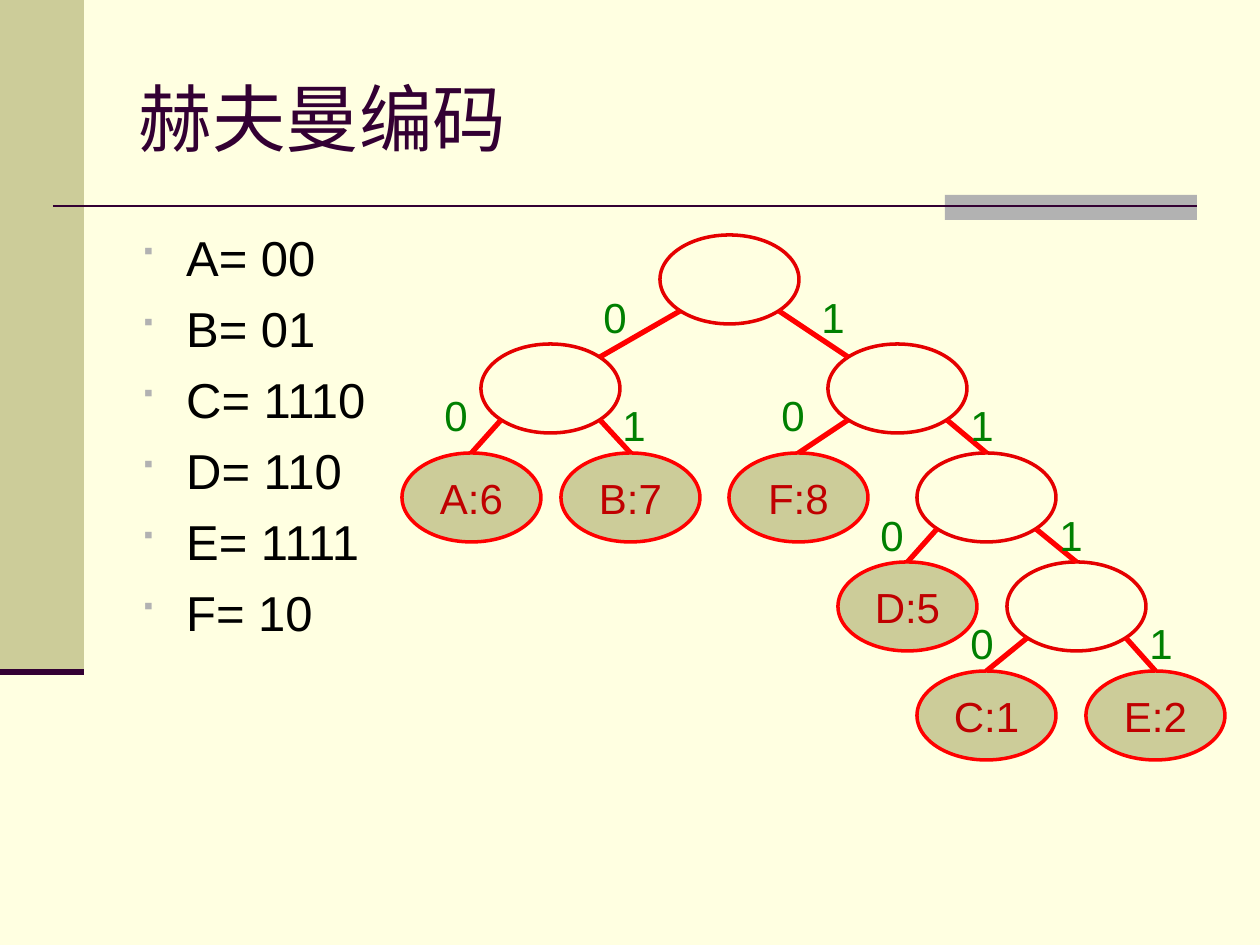
from dataclasses import dataclass

from lxml.etree import SubElement
from pptx import Presentation
from pptx.dml.color import RGBColor
from pptx.enum.shapes import MSO_CONNECTOR, MSO_SHAPE
from pptx.enum.text import MSO_ANCHOR, MSO_AUTO_SIZE, PP_ALIGN
from pptx.oxml.ns import qn
from pptx.util import Emu, Inches, Pt

PX = 914400 / 126  # EMU in one px
FONT = "Arial"

CREAM = RGBColor(0xFF, 0xFF, 0xE1)
KHAKI = RGBColor(0xCC, 0xCC, 0x99)
GREY = RGBColor(0xB2, 0xB2, 0xB2)
PLUM = RGBColor(0x33, 0x00, 0x33)
BLACK = RGBColor(0x00, 0x00, 0x00)
RED = RGBColor(0xFF, 0x00, 0x00)
BRICK = RGBColor(0xE5, 0x00, 0x00)
WINE = RGBColor(0xC0, 0x00, 0x00)
GREEN = RGBColor(0x00, 0x80, 0x00)

# Tree grid: node size, first row, row step, and inset of the oval's diagonals
WIDE, HIGH = 139, 89
TOP, STEP = 235, 109
DX, DY = 20, 13


@dataclass
class Node:
    left: int
    row: int
    text: str = ""

    @property
    def top(self) -> int:
        return TOP + self.row * STEP


@dataclass
class Edge:
    start: str
    end: str
    bit: int
    x: int  # label position
    y: int


NODES = {
    "root": Node(660, 0),
    "AB": Node(481, 1),
    "FDCE": Node(828, 1),
    "DCE": Node(917, 2),
    "CE": Node(1007, 3),
    "A": Node(402, 2, "A:6"),
    "B": Node(561, 2, "B:7"),
    "F": Node(729, 2, "F:8"),
    "D": Node(838, 3, "D:5"),
    "C": Node(917, 4, "C:1"),
    "E": Node(1086, 4, "E:2"),
}
EDGES = [
    Edge("root", "AB", 0, 591, 285),
    Edge("root", "FDCE", 1, 809, 285),
    Edge("AB", "A", 0, 432, 383),
    Edge("AB", "B", 1, 610, 393),
    Edge("FDCE", "F", 0, 769, 383),
    Edge("FDCE", "DCE", 1, 958, 393),
    Edge("DCE", "D", 0, 868, 503),
    Edge("DCE", "CE", 1, 1047, 503),
    Edge("CE", "C", 0, 958, 611),
    Edge("CE", "E", 1, 1137, 611),
]
CODES = ["A= 00", "B= 01", "C= 1110", "D= 110", "E= 1111", "F= 10"]


def px(*vals: int) -> list[Emu]:
    return [Emu(round(v * PX)) for v in vals]


def style(para, size: int, color: RGBColor, align=PP_ALIGN.LEFT) -> None:
    para.alignment = align
    para.font.name = FONT
    para.font.size = Pt(size)
    para.font.color.rgb = color


def add_form(slide, kind, box: tuple, fill: RGBColor, line=None):
    form = slide.shapes.add_shape(kind, *px(*box))
    form.shadow.inherit = False
    form.fill.solid()
    form.fill.fore_color.rgb = fill
    if line is None:
        form.line.fill.background()
    else:
        form.line.color.rgb = line
        form.line.width = Pt(2)
    return form


def add_line(slide, ends: tuple, color: RGBColor, width: float):
    line = slide.shapes.add_connector(MSO_CONNECTOR.STRAIGHT, *px(*ends))
    line.line.color.rgb = color
    line.line.width = Pt(width)
    SubElement(line._element.spPr, qn("a:effectLst"))
    return line


def add_node(slide, node: Node):
    fill, line = (KHAKI, RED) if node.text else (CREAM, BRICK)
    box = (node.left, node.top, WIDE, HIGH)
    oval = add_form(slide, MSO_SHAPE.OVAL, box, fill, line)
    if node.text:
        frame = oval.text_frame
        frame.word_wrap = False
        frame.vertical_anchor = MSO_ANCHOR.MIDDLE
        frame.text = node.text
        style(frame.paragraphs[0], 24, WINE, PP_ALIGN.CENTER)
    return oval


def add_edge(slide, edge: Edge, ovals: dict) -> None:
    start, end = NODES[edge.start], NODES[edge.end]
    x = start.left + (WIDE - DX if edge.bit else DX)
    y = start.top + HIGH - DY
    if edge.start == "root":
        # The first branches meet the near shoulder of the child
        near = end.left + (DX if edge.bit else WIDE - DX)
        add_line(slide, (x, y, near, end.top + DY), RED, 3)
    else:
        line = add_line(slide, (x, y, end.left + WIDE // 2, end.top), RED, 3)
        line.end_connect(ovals[edge.end], 0)


def add_bit(slide, edge: Edge) -> None:
    frame = slide.shapes.add_textbox(*px(edge.x, edge.y, 59, 63)).text_frame
    frame.word_wrap = True
    frame.auto_size = MSO_AUTO_SIZE.SHAPE_TO_FIT_TEXT
    frame.text = str(edge.bit)
    style(frame.paragraphs[0], 24, GREEN)


def add_bullet(para) -> None:
    props = para._p.get_or_add_pPr()
    props.set("marL", str(Inches(0.38)))
    props.set("indent", str(-Inches(0.38)))
    tint = SubElement(props, qn("a:buClr"))
    SubElement(tint, qn("a:srgbClr"), val=str(GREY))
    SubElement(props, qn("a:buSzPct"), val="90000")
    SubElement(props, qn("a:buFont"), typeface="Wingdings")
    SubElement(props, qn("a:buChar"), char="■")


def main() -> None:
    deck = Presentation()
    deck.slide_width, deck.slide_height = Inches(10), Inches(7.5)
    slide = deck.slides.add_slide(deck.slide_layouts[5])
    slide.background.fill.solid()
    slide.background.fill.fore_color.rgb = CREAM

    # Side band, accent and rules
    add_form(slide, MSO_SHAPE.RECTANGLE, (0, 0, 84, 672), KHAKI)
    add_form(slide, MSO_SHAPE.RECTANGLE, (945, 195, 252, 25), GREY)
    add_line(slide, (53, 206, 1197, 206), PLUM, 1.5)
    add_line(slide, (0, 672, 84, 672), PLUM, 3.5)

    # Title
    title = slide.shapes.title
    title.left, title.top, title.width, title.height = px(126, 38, 1071, 158)
    title.text_frame.text = "赫夫曼编码"
    title.text_frame.vertical_anchor = MSO_ANCHOR.MIDDLE
    style(title.text_frame.paragraphs[0], 42, PLUM)

    # Code list
    frame = slide.shapes.add_textbox(*px(126, 221, 1071, 624)).text_frame
    frame.word_wrap = True
    frame.text = "\n".join(CODES)
    for para in frame.paragraphs:
        style(para, 28, BLACK)
        para.space_before = Pt(7)
        add_bullet(para)

    # Huffman tree
    ovals = {name: add_node(slide, node) for name, node in NODES.items()}
    for edge in EDGES:
        add_edge(slide, edge, ovals)
    for edge in EDGES:
        add_bit(slide, edge)

    deck.save("out.pptx")


if __name__ == "__main__":
    main()
